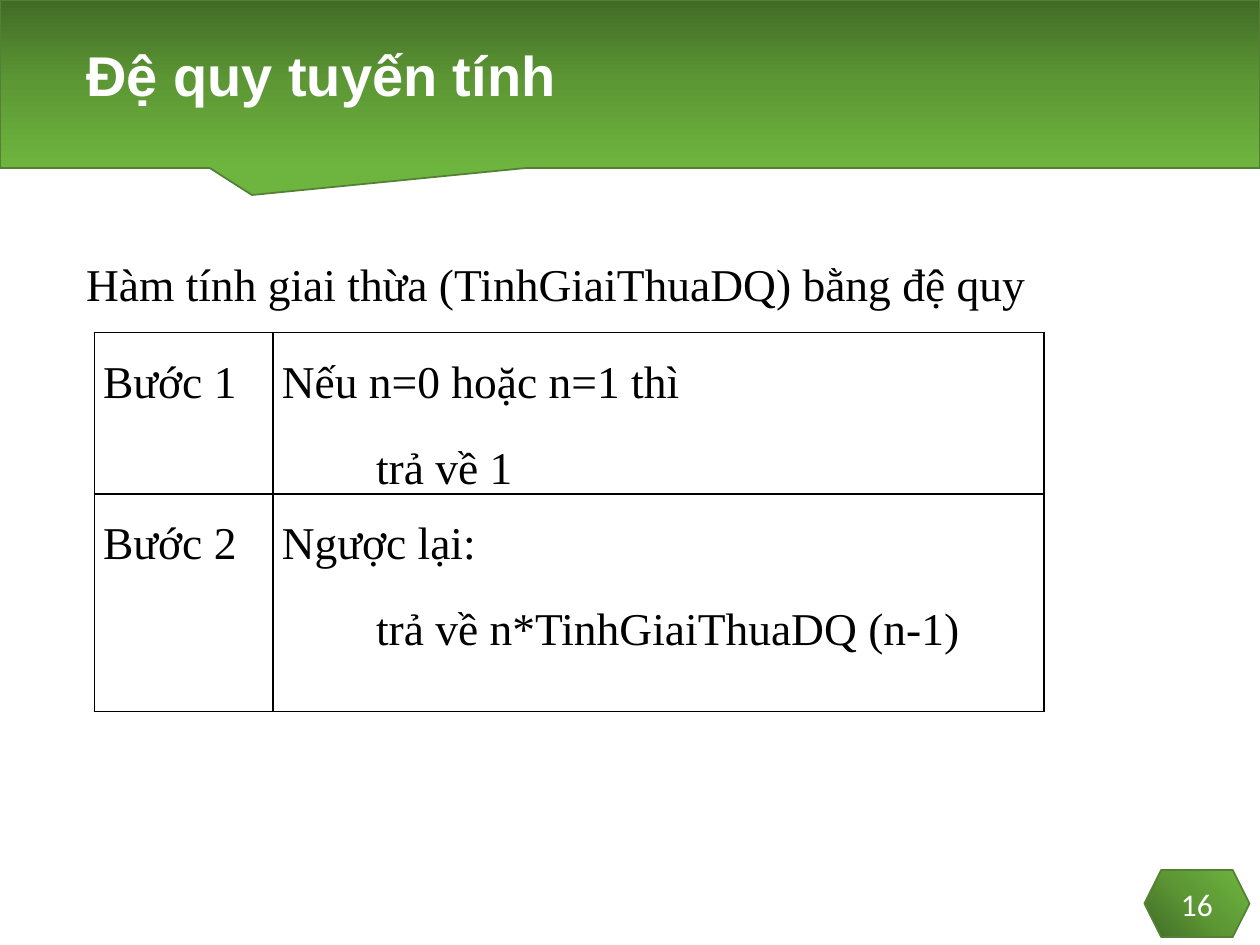
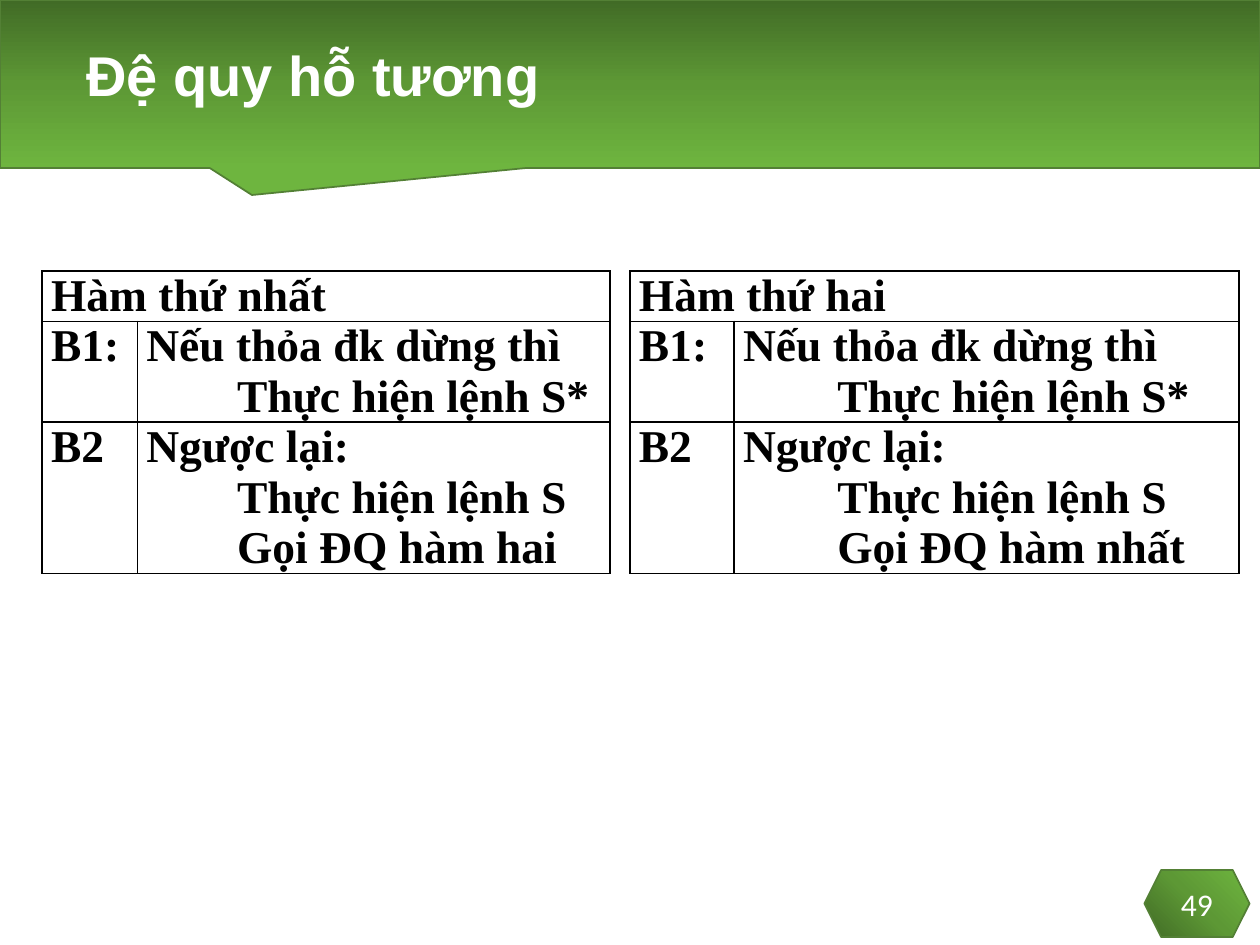
from lxml.etree import SubElement
from pptx import Presentation
from pptx.dml.color import RGBColor
from pptx.enum.shapes import MSO_SHAPE
from pptx.enum.text import MSO_ANCHOR, MSO_AUTO_SIZE, PP_ALIGN
from pptx.oxml import parse_xml
from pptx.oxml.ns import nsdecls, qn
from pptx.util import Cm, Pt

WHITE = RGBColor(0xFF, 0xFF, 0xFF)
BLACK = RGBColor(0x00, 0x00, 0x00)
DARK_GREEN = RGBColor(0x41, 0x6B, 0x26)
MIDDLE_GREEN = RGBColor(0x5D, 0x98, 0x35)
LIGHT_GREEN = RGBColor(0x6E, 0xB5, 0x3F)
OUTLINE_GREEN = RGBColor(0x53, 0x80, 0x35)

DOWNWARD = '<a:lin ang="5400000" scaled="0"/>'
FROM_LOWER_LEFT = '<a:path path="circle"><a:fillToRect t="100000" r="100000"/></a:path>'

TITLE_FONT = {"name": "Arial", "size": Pt(32), "bold": True}
NUMBER_FONT = {"name": "Calibri", "size": Pt(18), "bold": False}
TEXT_FONT = {"name": "Times New Roman", "size": Pt(26), "bold": False}
STRONG_FONT = {**TEXT_FONT, "bold": True}

TITLE_PARAGRAPH = {"alignment": PP_ALIGN.LEFT, "line_spacing": 0.9}
INTRO_PARAGRAPH = {"alignment": PP_ALIGN.LEFT, "line_spacing": 1.5, "space_before": Pt(0)}
STEP_PARAGRAPH = {"alignment": PP_ALIGN.JUSTIFY, "line_spacing": 1.5, "space_after": Pt(6)}
PLAIN_PARAGRAPH = {"alignment": PP_ALIGN.LEFT}
CELL_MARGINS = {"margin_left": Cm(0.18), "margin_right": Cm(0.18),
                "margin_top": 0, "margin_bottom": 0}

TITLE_AND_BODY, TITLE_ONLY = 1, 5


def apply(target, values):
    for name, value in values.items():
        setattr(target, name, value)


class Deck:
    def __init__(self):
        self.presentation = Presentation()
        apply(self.presentation, {"slide_width": Cm(25.4), "slide_height": Cm(19.05)})
        self.slide = None

    def add_text(self, paragraph, text, font, color, layout):
        apply(paragraph, layout)
        run = paragraph.add_run()
        run.text = text
        apply(run.font, font)
        run.font.color.rgb = color

    def place(self, shape, left, top, width, height):
        apply(shape, {"left": Cm(left), "top": Cm(top),
                      "width": Cm(width), "height": Cm(height)})

    def green_shape(self, kind, box, direction):
        shape = self.slide.shapes.add_shape(kind, *map(Cm, box))
        shape.shadow.inherit = False
        colors = (DARK_GREEN, MIDDLE_GREEN, LIGHT_GREEN)
        stops = "".join(
            f'<a:gs pos="{index * 50000}"><a:srgbClr val="{color}"/></a:gs>'
            for index, color in enumerate(colors))
        shape.element.spPr.find(qn("a:prstGeom")).addnext(parse_xml(
            f'<a:gradFill {nsdecls("a")} rotWithShape="1">'
            f'<a:gsLst>{stops}</a:gsLst>{direction}</a:gradFill>'))
        shape.line.color.rgb = OUTLINE_GREEN
        shape.line.width = Pt(1)
        return shape

    def add_slide(self, title_text, number, layout):
        layouts = self.presentation.slide_layouts
        self.slide = self.presentation.slides.add_slide(layouts[layout])
        band = self.green_shape(MSO_SHAPE.RECTANGULAR_CALLOUT, (0, 0, 25.4, 3.39), DOWNWARD)
        band.adjustments[0] = -0.3
        band.adjustments[1] = 0.66
        badge = self.green_shape(MSO_SHAPE.HEXAGON, (23.07, 17.54, 2.12, 1.35), FROM_LOWER_LEFT)
        apply(badge.text_frame, {"vertical_anchor": MSO_ANCHOR.MIDDLE, "word_wrap": False})
        self.add_text(badge.text_frame.paragraphs[0], number, NUMBER_FONT, WHITE,
                      {"alignment": PP_ALIGN.CENTER})
        title = self.slide.shapes.title
        self.place(title, 1.48, 0.21, 22.44, 2.75)
        apply(title.text_frame, {"vertical_anchor": MSO_ANCHOR.MIDDLE,
                                 "auto_size": MSO_AUTO_SIZE.NONE})
        self.add_text(title.text_frame.paragraphs[0], title_text, TITLE_FONT, WHITE,
                      TITLE_PARAGRAPH)
        title.element.getparent().append(title.element)

    def add_intro(self, text):
        body = self.slide.placeholders[1]
        self.place(body, 1.48, 4.23, 22.01, 1.9)
        apply(body.text_frame, {"auto_size": MSO_AUTO_SIZE.NONE, "margin_top": Cm(0.39)})
        paragraph = body.text_frame.paragraphs[0]
        properties = paragraph._p.get_or_add_pPr()
        properties.set("marL", "0")
        properties.set("indent", "0")
        SubElement(properties, qn("a:buNone"))
        self.add_text(paragraph, text, TEXT_FONT, BLACK, INTRO_PARAGRAPH)

    def fill_cell(self, cell, lines, font, layout, indent):
        apply(cell, CELL_MARGINS)
        cell.fill.background()
        for index, side in enumerate(("lnL", "lnR", "lnT", "lnB")):
            cell._tc.get_or_add_tcPr().insert(index, parse_xml(
                f'<a:{side} {nsdecls("a")} w="12700"><a:solidFill>'
                f'<a:srgbClr val="{BLACK}"/></a:solidFill></a:{side}>'))
        frame = cell.text_frame
        for index, line in enumerate(lines):
            paragraph = frame.add_paragraph() if index else frame.paragraphs[0]
            if index:
                paragraph._p.get_or_add_pPr().set("marL", str(Cm(indent)))
            self.add_text(paragraph, line, font, BLACK, layout)

    def add_steps(self, position, widths, heights, rows, font, layout, indent=1.9):
        left, top = position
        frame = self.slide.shapes.add_table(
            len(rows), len(widths), Cm(left), Cm(top), Cm(sum(widths)), Cm(sum(heights)))
        table = frame.table
        apply(table, {"first_row": False, "horz_banding": False})
        for column, width in zip(table.columns, widths):
            column.width = Cm(width)
        for row, height, contents in zip(table.rows, heights, rows):
            row.height = Cm(height)
            if len(contents) == 1:
                row.cells[0].merge(row.cells[1])
                contents = [*contents, []]
            for cell, lines in zip(row.cells, contents):
                self.fill_cell(cell, lines, font, layout, indent)


def mutual_steps(name, other):
    return [
        [[f"Hàm thứ {name}"]],
        [["B1:"], ["Nếu thỏa đk dừng thì", "Thực hiện lệnh S*"]],
        [["B2"], ["Ngược lại:", "Thực hiện lệnh S", f"Gọi ĐQ hàm {other}"]],
    ]


def main():
    deck = Deck()

    deck.add_slide("Đệ quy tuyến tính", "16", TITLE_AND_BODY)
    deck.add_intro("Hàm tính giai thừa (TinhGiaiThuaDQ) bằng đệ quy")
    factorial_steps = [
        [["Bước 1"], ["Nếu n=0 hoặc n=1 thì", "trả về 1"]],
        [["Bước 2"], ["Ngược lại:", "trả về n*TinhGiaiThuaDQ (n-1)"]],
    ]
    deck.add_steps((1.9, 6.7), (3.6, 15.55), (3.02, 4.38), factorial_steps,
                   TEXT_FONT, STEP_PARAGRAPH)

    deck.add_slide("Đệ quy hỗ tương", "49", TITLE_ONLY)
    functions = [
        (0.85, (1.92, 9.53), "nhất", "hai", 1.83),
        (12.7, (2.1, 10.18), "hai", "nhất", 1.9),
    ]
    for left, widths, name, other, indent in functions:
        deck.add_steps((left, 5.46), widths, (0.79, 1.68, 1.73), mutual_steps(name, other),
                       STRONG_FONT, PLAIN_PARAGRAPH, indent)

    deck.presentation.save("out.pptx")


if __name__ == "__main__":
    main()
